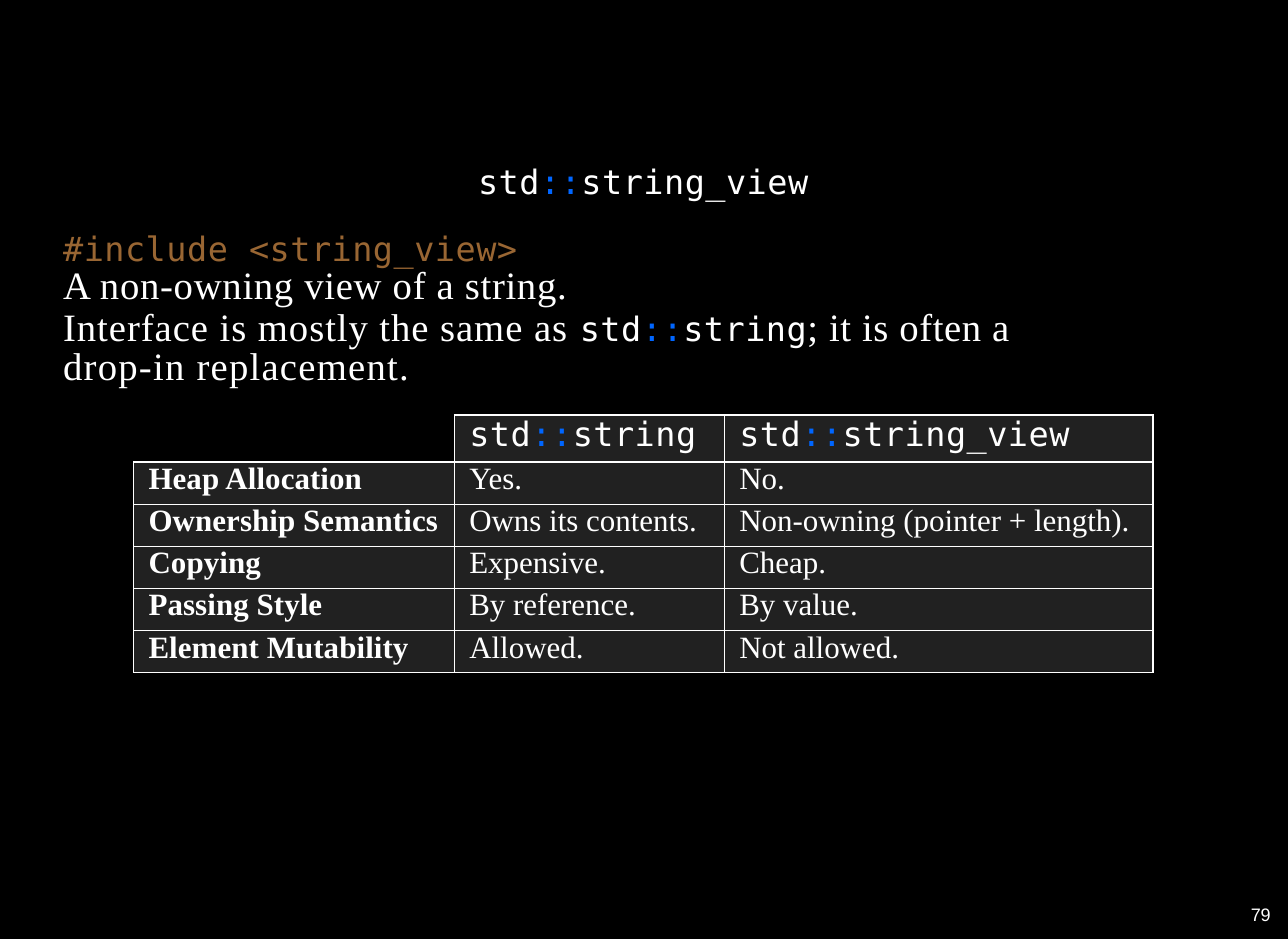
from pptx import Presentation, util as u
from pptx.dml.color import RGBColor
from pptx.enum import shapes
from pptx.oxml import parse_xml
from pptx.oxml.ns import nsdecls

PX = 9144
WHITE, BLACK, GREY, BLUE, BROWN = "FFFFFF", "000000", "212121", "0066FF", "996633"
SERIF = ("Times New Roman", 22.5)
CELL = ("Times New Roman", 18)
CODE = ("DejaVu Sans Mono", 19.5)
SMALL = ("Arial", 10.5)
ROWS = [
    ("Heap Allocation", "Yes.", "No."),
    ("Ownership Semantics", "Owns its contents.", "Non-owning (pointer + length)."),
    ("Copying", "Expensive.", "Cheap."),
    ("Passing Style", "By reference.", "By value."),
    ("Element Mutability", "Allowed.", "Not allowed."),
]


def px(length):
    return u.Emu(length * PX)


def colour(value):
    return RGBColor.from_string(value)


def style(font, face, tint=WHITE):
    font.name, size = face
    font.size = u.Pt(size)
    font.color.rgb = colour(tint)


def add_span(para, words, spacing=0, face=None, tint=WHITE):
    span = para.add_run()
    span.text = words
    if face:
        style(span.font, face, tint)
    if spacing:
        span._r.get_or_add_rPr().set("spc", str(round(spacing * 100)))


def add_code(para, name):
    for words, tint in (("std", WHITE), ("::", BLUE), (name, WHITE)):
        add_span(para, words, 0.25, CODE, tint)


def add_panel(page, left, top, width, height):
    panel = page.shapes.add_shape(
        shapes.MSO_SHAPE.RECTANGLE, px(left), px(top), px(width), px(height))
    panel.shadow.inherit = False
    panel.fill.solid()
    panel.fill.fore_color.rgb = colour(BLACK)
    panel.line.fill.background()


def add_box(page, left, top, width, height):
    box = page.shapes.add_textbox(px(left), px(top), px(width), px(height))
    frame = box.text_frame
    frame.word_wrap = True
    frame.margin_left = px(1)
    frame.margin_right = frame.margin_top = frame.margin_bottom = 0
    return frame


def add_title(page, left, top, width, height):
    frame = add_box(page, left, top, width, height)
    style(frame.paragraphs[0].font, CODE)
    add_code(frame.paragraphs[0], "string_view")


def add_description(page, left, top, width, height):
    frame = add_box(page, left, top, width, height)
    frame.margin_right = px(20)
    include = frame.paragraphs[0]
    style(include.font, CODE, BROWN)
    add_span(include, "#include <string_view>", 0.25)
    summary = frame.add_paragraph()
    style(summary.font, SERIF)
    add_span(summary, "A non-owning view of a string.", 0.4)
    detail = frame.add_paragraph()
    style(detail.font, SERIF)
    detail.space_before = u.Pt(1.8)
    add_span(detail, "Interface is mostly the same as ", 0.55)
    add_code(detail, "string")
    add_span(detail, "; it is often a ", 0.33)
    add_span(detail, "drop-in replacement.", 0.7)
    for para, pitch in zip(frame.paragraphs, (21.4, 22.8, 22.5)):
        para.line_spacing = u.Pt(pitch)


def set_borders(cell, hidden=""):
    for index, side in enumerate("LRTB"):
        paint = "<a:noFill/>"
        if side not in hidden:
            paint = f'<a:solidFill><a:srgbClr val="{WHITE}"/></a:solidFill>'
        line = parse_xml(f'<a:ln{side} {nsdecls("a")} w="{u.Pt(0.85)}">{paint}</a:ln{side}>')
        cell._tc.get_or_add_tcPr().insert(index, line)


def add_comparison(page, left, top, widths, header_height, row_height):
    add_panel(page, left, top, widths[0], header_height)
    height = header_height + row_height * len(ROWS)
    frame = page.shapes.add_table(
        len(ROWS) + 1, len(widths), px(left), px(top), px(sum(widths)), px(height))
    table = frame.table
    table.first_row = table.horz_banding = False
    for column, width in zip(table.columns, widths):
        column.width = px(width)
    for index, row in enumerate(table.rows):
        row.height = px(row_height if index else header_height)
    for cell in table.iter_cells():
        cell.margin_left = px(12)
        cell.margin_right = cell.margin_top = cell.margin_bottom = 0
        cell.fill.solid()
        cell.fill.fore_color.rgb = colour(GREY)
    corner = table.cell(0, 0)
    corner.fill.fore_color.rgb = colour(BLACK)
    for cell in table.iter_cells():
        set_borders(cell, "LT" if cell._tc is corner._tc else "")
    for column, name in enumerate(("string", "string_view"), 1):
        para = table.cell(0, column).text_frame.paragraphs[0]
        style(para.font, CODE)
        add_code(para, name)
    for row, entries in enumerate(ROWS, 1):
        for column, words in enumerate(entries):
            para = table.cell(row, column).text_frame.paragraphs[0]
            style(para.font, CELL)
            para.font.bold = column == 0
            add_span(para, words, 0 if column else 0.07)


def add_page_number(page, left, top, width, height):
    add_panel(page, left, top, width, height)
    frame = add_box(page, left - 6, top + 5, width + 3, height - 8)
    frame.margin_left = px(11)
    para = frame.paragraphs[0]
    style(para.font, SMALL)
    add_span(para, "79")


def main():
    deck = Presentation()
    deck.slide_width, deck.slide_height = px(1040), px(758)
    page = deck.slides.add_slide(deck.slide_layouts[6])
    add_panel(page, 0, 0, 1040, 758)
    add_title(page, 385, 130, 269, 30)
    add_description(page, 50, 187, 849, 127)
    add_comparison(page, 108, 335, (259, 218, 346), 38, 34)
    add_page_number(page, 1005, 724, 27, 25)
    deck.save("out.pptx")


if __name__ == "__main__":
    main()
